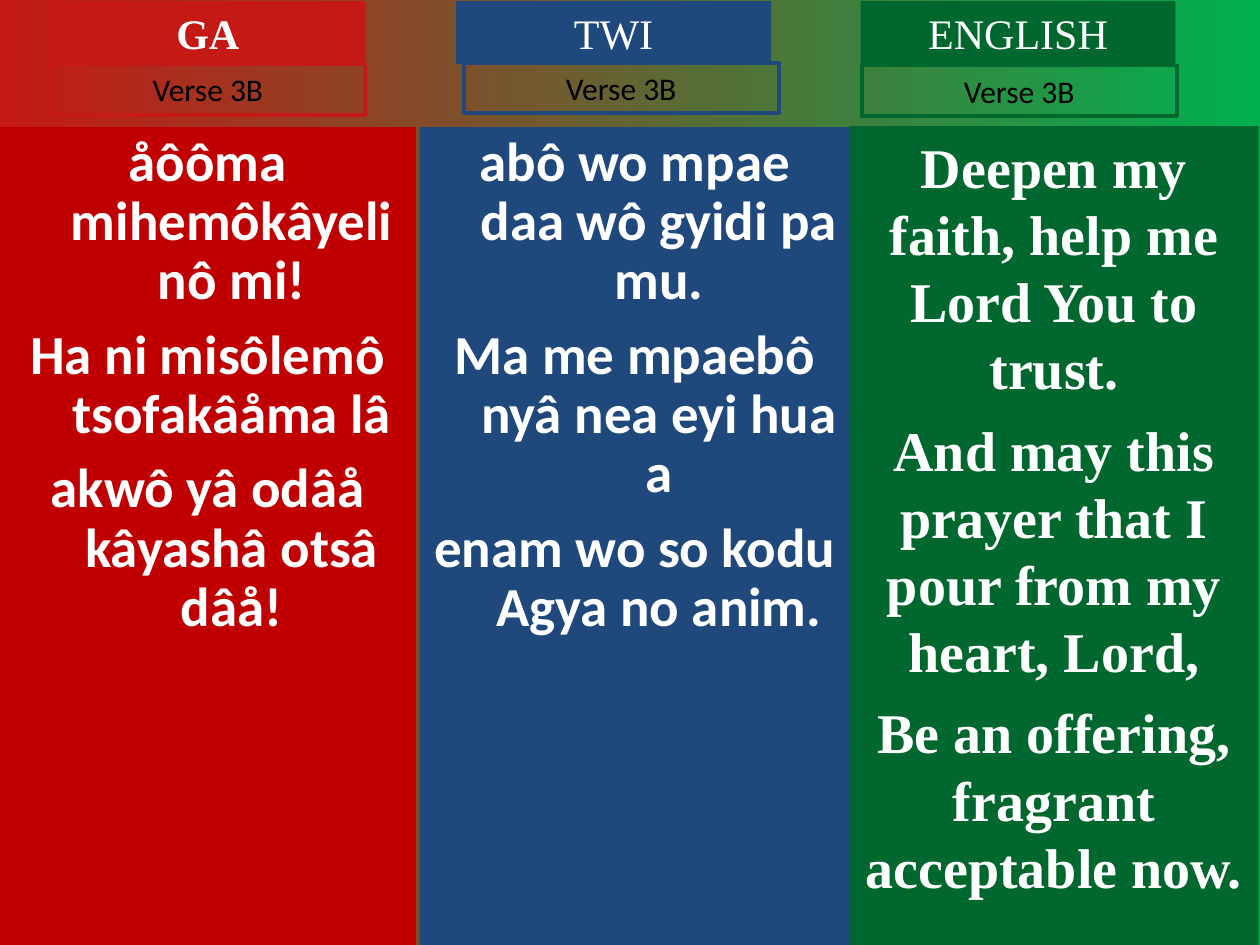
from lxml import etree
from pptx import Presentation
from pptx.dml.color import RGBColor
from pptx.enum.shapes import MSO_SHAPE
from pptx.enum.text import MSO_ANCHOR, MSO_AUTO_SIZE, PP_ALIGN
from pptx.oxml.ns import qn
from pptx.util import Inches, Pt

RECTANGLE = MSO_SHAPE.RECTANGLE
TOP = MSO_ANCHOR.TOP
NO_AUTOFIT = MSO_AUTO_SIZE.NONE
CENTER = PP_ALIGN.CENTER
SERIF = "Times New Roman"
SANS = "Calibri"
WHITE = "FFFFFF"
BLACK = "000000"
RED = "C51915"
DARK_RED = "C00000"
BLUE = "1F497D"
GREEN = "00682F"
BRIGHT_GREEN = "00B050"

GA_LINES = [
    "åôôma mihemôkâyeli nô mi!",
    "Ha ni misôlemô tsofakâåma lâ",
    "akwô yâ odâå kâyashâ otsâ dâå!",
]
TWI_LINES = [
    "abô wo mpae daa wô gyidi pa mu.",
    "Ma me mpaebô nyâ nea eyi hua a",
    "enam wo so kodu Agya no anim.",
]
ENGLISH_LINES = [
    "Deepen my faith, help me Lord You to trust.",
    "And may this prayer that I pour from my heart, Lord,",
    "Be an offering, fragrant acceptable now.",
]


def color(value):
    """Return the colour for a hex string."""
    return RGBColor.from_string(value)


def paint_background(slide):
    """Fill the slide with a left-to-right gradient."""
    fill = slide.background.fill
    fill.gradient()
    fill.gradient_angle = 0
    for stop, position, value in zip(fill.gradient_stops, (0, 1), (RED, BRIGHT_GREEN)):
        stop.position = position
        stop.color.rgb = color(value)


def write_lines(shape, lines, font_name, size, font_color, bold=False, space_before=0):
    """Write centred paragraphs in one font and return them."""
    frame = shape.text_frame
    frame.word_wrap = True
    frame.auto_size = NO_AUTOFIT
    frame.vertical_anchor = TOP
    frame.text = "\n".join(lines)
    for index, paragraph in enumerate(frame.paragraphs):
        paragraph.alignment = CENTER
        paragraph.space_before = Pt(space_before if index else 0)
        paragraph.font.name = font_name
        paragraph.font.size = Pt(size)
        paragraph.font.bold = bold
        paragraph.font.color.rgb = color(font_color)
    return frame.paragraphs


def add_box(slide, left, top, width, height, fill=None, outline=None):
    """Add a rectangle that is either filled or outlined."""
    shape = slide.shapes.add_shape(
        RECTANGLE, Inches(left), Inches(top), Inches(width), Inches(height))
    shape.shadow.inherit = False
    if fill:
        shape.fill.solid()
        shape.fill.fore_color.rgb = color(fill)
    else:
        shape.fill.background()
    if outline:
        shape.line.color.rgb = color(outline)
        shape.line.width = Pt(2.25)
    else:
        shape.line.fill.background()
    return shape


def fill_lyrics_placeholder(shape, left, width, fill, lines):
    """Turn a body placeholder into a coloured lyrics column."""
    shape.left, shape.top = Inches(left), Inches(1.01)
    shape.width, shape.height = Inches(width), Inches(6.49)
    shape.fill.solid()
    shape.fill.fore_color.rgb = color(fill)
    for paragraph in write_lines(shape, lines, SANS, 31.4, WHITE, True, 8.5):
        paragraph.line_spacing = 0.9
        properties = paragraph._p.get_or_add_pPr()
        properties.set("marL", str(Inches(0.38)))
        properties.set("indent", str(Inches(-0.38)))
        bullet = etree.Element(qn("a:buNone"))
        properties.find(qn("a:defRPr")).addprevious(bullet)


def add_heading(slide, language, left, fill, bold=False):
    """Add a language name on a filled bar."""
    shape = add_box(slide, left, 0.01, 2.5, 0.5, fill=fill)
    write_lines(shape, [language], SERIF, 24, WHITE, bold)


def add_verse_label(slide, left, top, outline):
    """Add the verse number in an outlined bar."""
    shape = add_box(slide, left, top, 2.5, 0.4, outline=outline)
    write_lines(shape, ["Verse 3B"], SANS, 18, BLACK)


def main():
    """Build the three-language verse slide."""
    presentation = Presentation()
    presentation.slide_width = Inches(10)
    presentation.slide_height = Inches(7.5)
    slide = presentation.slides.add_slide(presentation.slide_layouts[3])
    paint_background(slide)

    title, ga_body, twi_body = slide.placeholders
    title._element.getparent().remove(title._element)
    fill_lyrics_placeholder(ga_body, 0, 3.3, DARK_RED, GA_LINES)
    fill_lyrics_placeholder(twi_body, 3.33, 3.42, BLUE, TWI_LINES)
    english_column = add_box(slide, 6.74, 1, 3.25, 6.51, fill=GREEN)
    write_lines(english_column, ENGLISH_LINES, SERIF, 32, WHITE, True, 8)

    add_heading(slide, "GA", 0.4, RED, bold=True)
    add_heading(slide, "TWI", 3.62, BLUE)
    add_heading(slide, "ENGLISH", 6.83, GREEN)
    add_verse_label(slide, 0.4, 0.51, RED)
    add_verse_label(slide, 3.68, 0.5, BLUE)
    add_verse_label(slide, 6.84, 0.52, GREEN)
    presentation.save("out.pptx")


if __name__ == "__main__":
    main()
